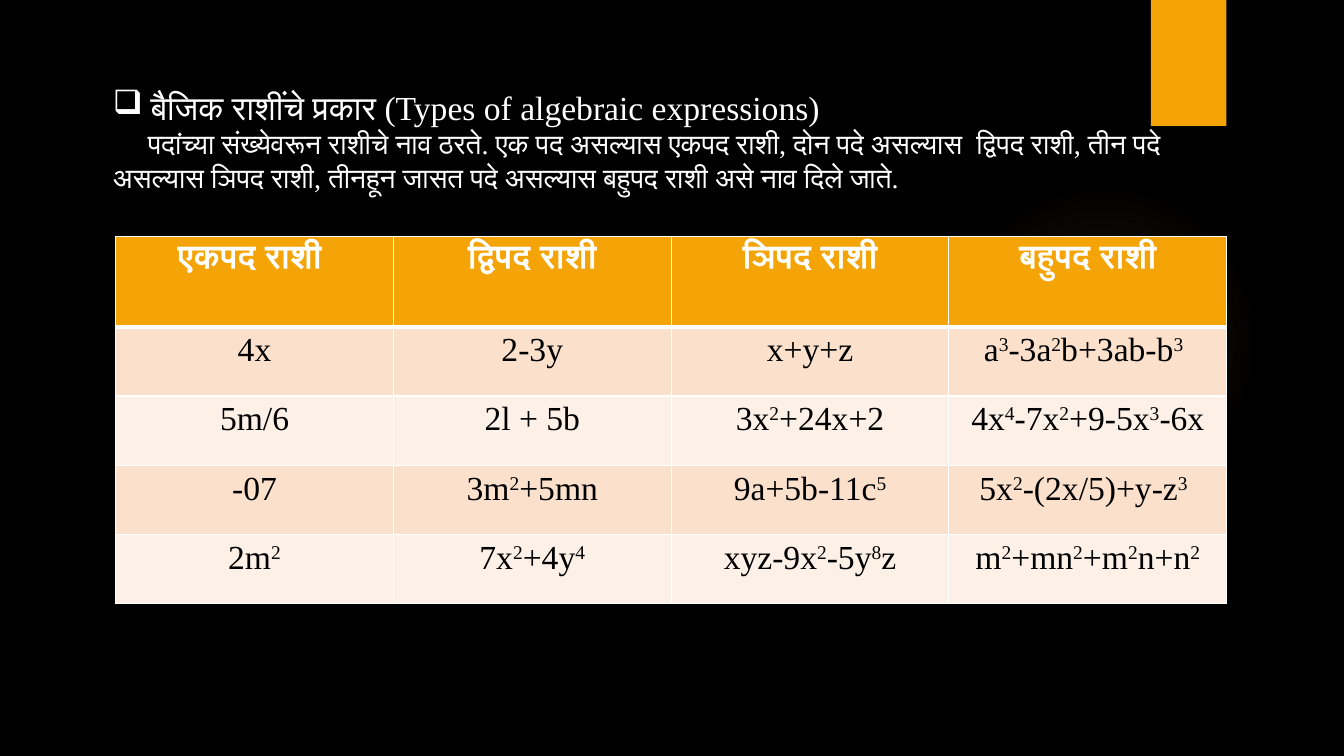
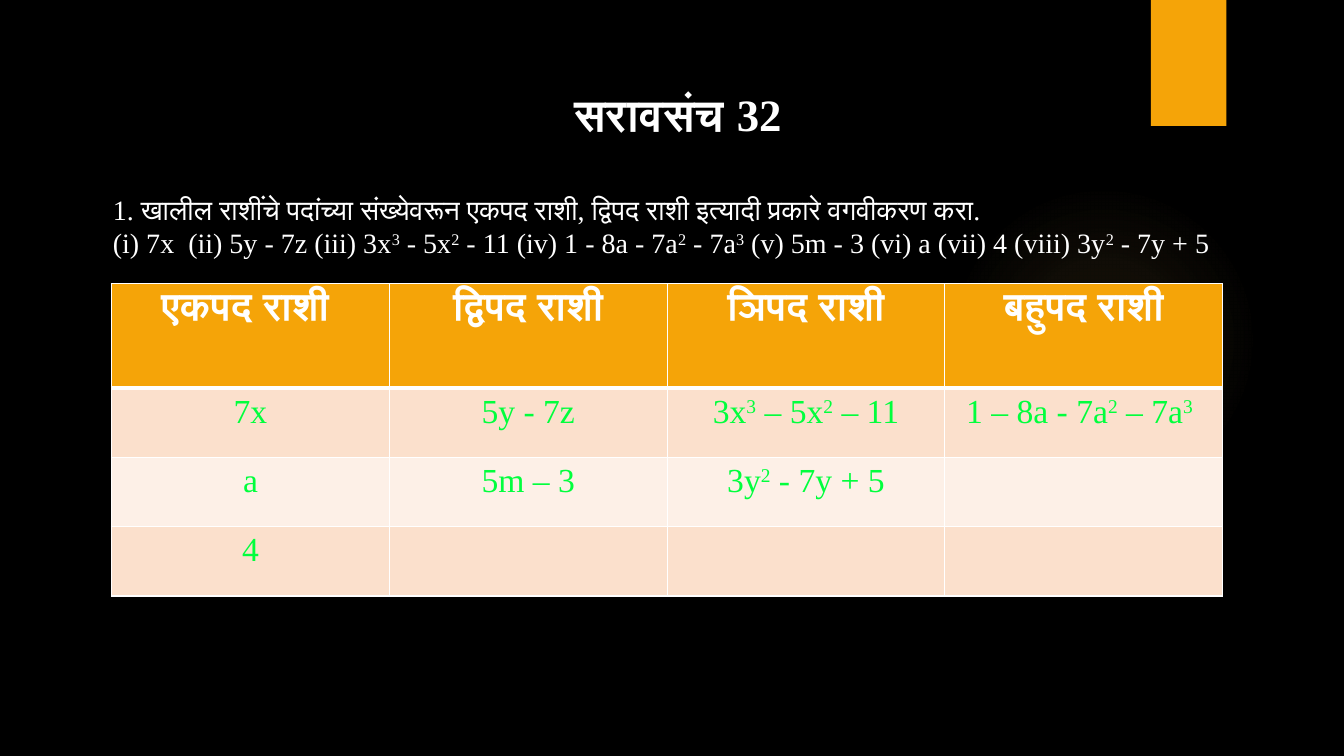
from pptx import Presentation
from pptx.dml.color import RGBColor
from pptx.enum.shapes import MSO_SHAPE as Shape
from pptx.enum.text import PP_ALIGN as Align
from pptx.oxml import parse_xml
from pptx.oxml.ns import nsdecls, qn
from pptx.util import Pt

BLACK = RGBColor(0x00, 0x00, 0x00)
WHITE = RGBColor(0xFF, 0xFF, 0xFF)
ORANGE = RGBColor(0xF5, 0xA4, 0x08)
GLOW = RGBColor(0xFA, 0xC9, 0x6A)
GREEN = RGBColor(0x01, 0xFF, 0x3D)
BANDS = RGBColor(0xFB, 0xE0, 0xCC), RGBColor(0xFD, 0xF0, 0xE7)

FACE = "Times New Roman"
COL_W, ROW_H = 198.4, 49.5
HEADS = ["एकपद राशी ", "द्विपद राशी", "ञिपद राशी", "बहुपद राशी"]

# A digit after ^ is raised
TYPES = [
    ["4x", "2-3y", "x+y+z", "a^3-3a^2b+3ab-b^3 "],
    ["5m/6", "2l + 5b", "3x^2+24x+2", " 4x^4-7x^2+9-5x^3-6x "],
    ["-07", "3m^2+5mn", "9a+5b-11c^5", "5x^2-(2x/5)+y-z^3 "],
    ["2m^2", "7x^2+4y^4", "xyz-9x^2-5y^8z", "m^2+mn^2+m^2n+n^2"],
]
ANSWERS = [
    ["7x", "5y - 7z", "3x^3 – 5x^2 – 11", "1 – 8a - 7a^2 – 7a^3 "],
    ["a", "5m – 3", "3y^2 - 7y + 5", ""],
    ["4", "", "", ""],
]


def add_run(para, text, style, raised=False):
    run = para.add_run()
    run.text = text
    for name, value in style.items():
        setattr(run.font, name, value)
    if raised:
        run._r.get_or_add_rPr().set("baseline", "30000")


def write(para, text, size, color=WHITE, bold=False, align=Align.LEFT):
    style = {"name": FACE, "size": Pt(size), "bold": bold}
    para.alignment = align
    first, *rest = text.split("^")
    parts = [(first, False)]
    for part in rest:
        parts += [(part[0], True), (part[1:], False)]
    for part, raised in parts:
        if part:
            add_run(para, part, style, raised)
    for run in para.runs:
        run.font.color.rgb = color


def indent(para, first, left=0, bullet=None):
    props = para._p.get_or_add_pPr()
    props.set("marL", str(Pt(left)))
    props.set("indent", str(Pt(first)))
    if bullet:
        props.append(parse_xml(f'<a:buChar {nsdecls("a")} char="{bullet}"/>'))


def add_plain(slide, kind, *box):
    shape = slide.shapes.add_shape(kind, *map(Pt, box))
    shape.shadow.inherit = False
    shape.line.fill.background()
    return shape


def add_glow(slide):
    disc = add_plain(slide, Shape.OVAL, 677.5, 132, 221.5, 221.5)
    disc.fill.background()
    stops = "".join(
        f'<a:gs pos="{pos}000"><a:srgbClr val="{GLOW}">'
        f'<a:alpha val="{alpha}000"/></a:srgbClr></a:gs>'
        for pos, alpha in [(0, 7), (36, 6), (69, 0), (100, 0)])
    grad = parse_xml(
        f'<a:gradFill {nsdecls("a")}><a:gsLst>{stops}</a:gsLst>'
        '<a:path path="circle"><a:fillToRect l="50000" t="50000" '
        'r="50000" b="50000"/></a:path></a:gradFill>')
    props = disc._element.spPr
    props.replace(props.find(qn("a:noFill")), grad)


def add_page(deck):
    """Black slide with the soft glow and the orange tab."""
    slide = deck.slides.add_slide(deck.slide_layouts[6])
    back = slide.background.fill
    back.solid()
    back.fore_color.rgb = BLACK
    add_glow(slide)
    tab = add_plain(slide, Shape.RECTANGLE, 822, 0, 54, 90)
    tab.fill.solid()
    tab.fill.fore_color.rgb = ORANGE
    return slide


def add_text(slide, height, count):
    box = slide.shapes.add_textbox(Pt(73.5), Pt(58.3), Pt(821.5), Pt(height))
    frame = box.text_frame
    frame.word_wrap = True
    for _ in range(count - 1):
        frame.add_paragraph()
    return frame.paragraphs


def add_edges(cell, row):
    widths = {"L": 1, "R": 1, "T": 3 if row == 1 else 1, "B": 1 if row else 3}
    props = cell._tc.get_or_add_tcPr()
    for side, width in widths.items():
        props.append(parse_xml(
            f'<a:ln{side} {nsdecls("a")} w="{Pt(width)}"><a:solidFill>'
            f'<a:srgbClr val="{WHITE}"/></a:solidFill></a:ln{side}>'))


def add_grid(slide, left, top, rows, head_h, head_size, color):
    data = [HEADS] + rows
    grid = slide.shapes.add_table(
        len(data), len(HEADS), Pt(left), Pt(top),
        Pt(COL_W * len(HEADS)), Pt(head_h + ROW_H * len(rows))).table
    for col in grid.columns:
        col.width = Pt(COL_W)
    for r, texts in enumerate(data):
        grid.rows[r].height = Pt(ROW_H if r else head_h)
        for c, text in enumerate(texts):
            cell = grid.cell(r, c)
            add_edges(cell, r)
            cell.fill.solid()
            cell.fill.fore_color.rgb = BANDS[(r - 1) % 2] if r else ORANGE
            write(cell.text_frame.paragraphs[0], text,
                  24 if r else head_size, color if r else WHITE,
                  not r, Align.CENTER)


def add_types(deck):
    slide = add_page(deck)
    head, body = add_text(slide, 90, 2)
    write(head, "बैजिक राशींचे प्रकार (Types of algebraic expressions)", 24)
    indent(head, -27, 27, "❑")
    write(body, "पदांच्या संख्येवरून राशीचे नाव ठरते. एक पद असल्यास एकपद राशी, "
                "दोन पदे असल्यास  द्विपद राशी, तीन पदे असल्यास ञिपद राशी, "
                "तीनहून जासत पदे असल्यास बहुपद राशी असे नाव दिले जाते.", 20)
    indent(body, 25)
    add_grid(slide, 82.6, 169, TYPES, 64.4, 24, BLACK)


def add_drill(deck):
    slide = add_page(deck)
    head, task, items = add_text(slide, 135, 3)
    write(head, "सरावसंच 32", 32, bold=True, align=Align.CENTER)
    write(task, "1. खालील राशींचे पदांच्या संख्येवरून एकपद राशी, द्विपद राशी "
                "इत्यादी प्रकारे वगवीकरण करा.", 20)
    task.space_before = Pt(37)
    write(items, "(i) 7x  (ii) 5y - 7z (iii) 3x^3 - 5x^2 - 11 "
                 "(iv) 1 - 8a - 7a^2 - 7a^3 (v) 5m - 3 (vi) a (vii) 4 "
                 "(viii) 3y^2 - 7y + 5", 20)
    add_grid(slide, 79.7, 202.7, ANSWERS, 74.6, 28, GREEN)


def main():
    deck = Presentation()
    deck.slide_width, deck.slide_height = Pt(960), Pt(540)
    add_types(deck)
    add_drill(deck)
    deck.save("out.pptx")


if __name__ == "__main__":
    main()
